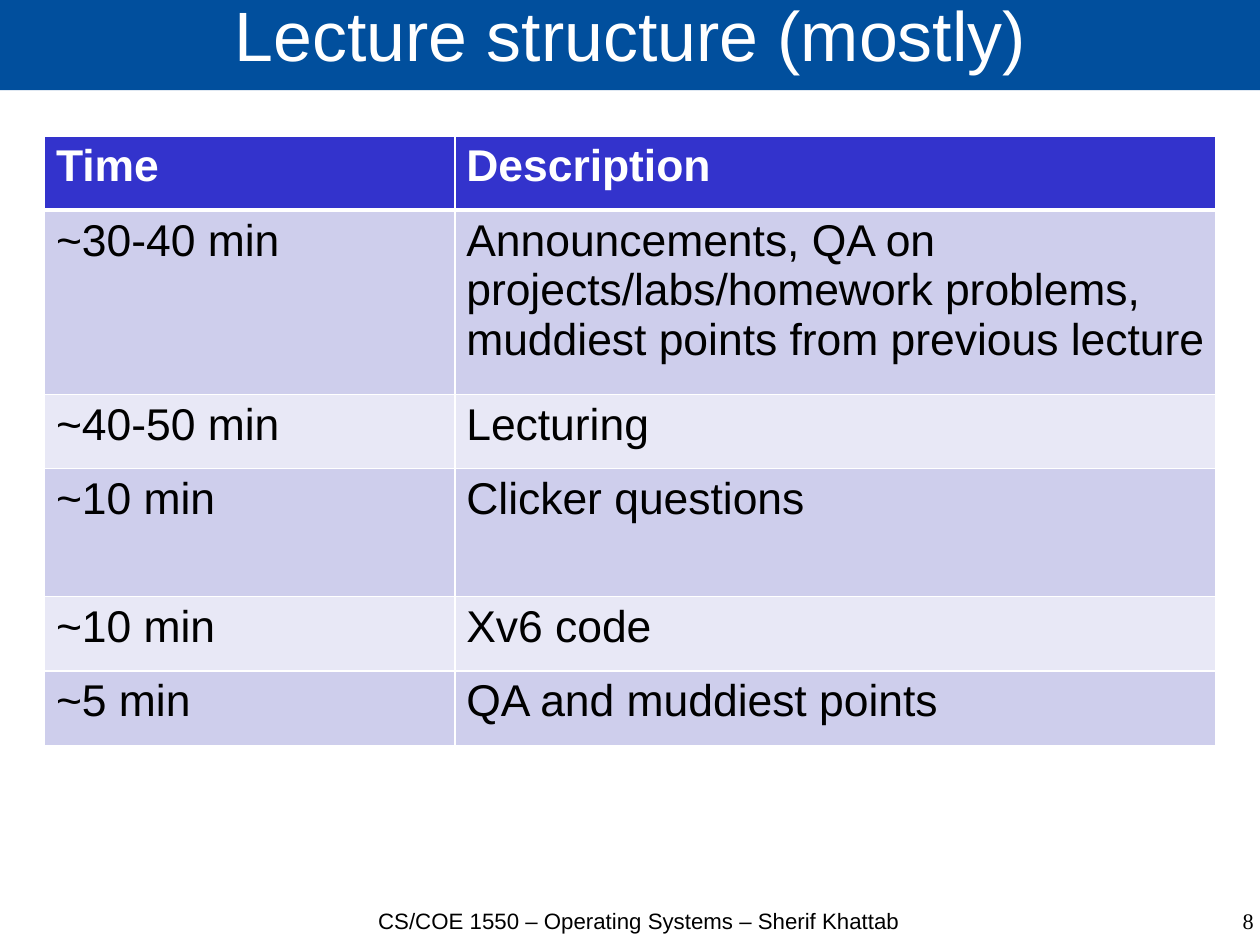
import pptx
import pptx.util
import pptx.dml.color
import pptx.enum.text
import pptx.oxml
import pptx.oxml.ns

WIDTH, HEIGHT = pptx.util.Cm(28), pptx.util.Cm(21)
COLORS = {
    "banner": "014F9D", "header": "3333CC", "odd": "CECEEC",
    "even": "E8E8F6", "white": "FFFFFF", "black": "000000",
}
ALIGN = pptx.enum.text.PP_ALIGN
ANCHOR = pptx.enum.text.MSO_ANCHOR
COLUMNS = (3.59, 6.66)
SCHEDULE = (
    (0.65, "Time", "Description"),
    (1.61, "~30-40 min", "Announcements, QA on projects/labs/homework problems, "
                         "muddiest points from previous lecture"),
    (0.65, "~40-50 min", "Lecturing"),
    (1.12, "~10 min", "Clicker questions"),
    (0.65, "~10 min", "Xv6 code"),
    (0.65, "~5 min", "QA and muddiest points"),
)


def paint(target, color):
    """Fill a shape or a cell with a named colour."""
    target.fill.solid()
    target.fill.fore_color.rgb = pptx.dml.color.RGBColor.from_string(COLORS[color])


def write(frame, text, size=14, color="black", font="Arial", bold=False,
          align=ALIGN.LEFT, spacing=1.0):
    """Put one formatted paragraph in a text frame."""
    frame.word_wrap = True
    paragraph = frame.paragraphs[0]
    paragraph.alignment = align
    paragraph.line_spacing = spacing
    paragraph.space_before = paragraph.space_after = pptx.util.Pt(0)
    run = paragraph.add_run()
    run.text = text
    run.font.size = pptx.util.Pt(size)
    run.font.name = font
    run.font.bold = bold
    run.font.color.rgb = pptx.dml.color.RGBColor.from_string(COLORS[color])


def clear_margins(frame):
    """Remove the insets of a text frame."""
    frame.margin_left = frame.margin_right = 0
    frame.margin_top = frame.margin_bottom = 0


def add_title(slide, text):
    """Format the title placeholder as a full-width banner."""
    title = slide.shapes.title
    title.left, title.top = 0, pptx.util.Inches(-0.02)
    title.width, title.height = pptx.util.Inches(11.04), pptx.util.Inches(0.81)
    paint(title, "banner")
    clear_margins(title.text_frame)
    title.text_frame.auto_size = pptx.enum.text.MSO_AUTO_SIZE.NONE
    title.text_frame.vertical_anchor = ANCHOR.MIDDLE
    write(title.text_frame, text, size=44, color="white", align=ALIGN.CENTER,
          spacing=0.69)


def add_footer(slide, left, width, text, **style):
    """Add a text box on the footer line."""
    footer = slide.shapes.add_textbox(
        pptx.util.Inches(left), pptx.util.Inches(8.01),
        pptx.util.Inches(width), pptx.util.Inches(0.55))
    clear_margins(footer.text_frame)
    write(footer.text_frame, text, spacing=0.65, **style)


def add_borders(cell, bottom, top):
    """Draw white cell borders, with given widths above and below."""
    properties = cell._tc.get_or_add_tcPr()
    sides = (("L", 1), ("R", 1), ("T", top), ("B", bottom))
    for position, (side, points) in enumerate(sides):
        properties.insert(position, pptx.oxml.parse_xml(
            f'<a:ln{side} {pptx.oxml.ns.nsdecls("a")} w="{pptx.util.Pt(points)}">'
            f'<a:solidFill><a:srgbClr val="{COLORS["white"]}"/></a:solidFill>'
            f'</a:ln{side}>'))


def add_schedule(slide):
    """Add the table of lecture parts."""
    heights = [height for height, *_ in SCHEDULE]
    schedule = slide.shapes.add_table(
        len(SCHEDULE), len(COLUMNS), pptx.util.Inches(0.39), pptx.util.Inches(1.19),
        pptx.util.Inches(sum(COLUMNS)), pptx.util.Inches(sum(heights))).table
    for column, width in zip(schedule.columns, COLUMNS):
        column.width = pptx.util.Inches(width)
    for index, (height, *texts) in enumerate(SCHEDULE):
        schedule.rows[index].height = pptx.util.Inches(height)
        heading = index == 0
        band = "header" if heading else ("even", "odd")[index % 2]
        for cell, text in zip(schedule.rows[index].cells, texts):
            paint(cell, band)
            add_borders(cell, bottom=3 if heading else 1, top=3 if index == 1 else 1)
            write(cell.text_frame, text, size=28, bold=heading,
                  color="white" if heading else "black")


def main():
    """Build the slide and save it."""
    deck = pptx.Presentation()
    deck.slide_width, deck.slide_height = WIDTH, HEIGHT
    slide = deck.slides.add_slide(deck.slide_layouts[5])
    add_title(slide, "Lecture structure (mostly)")
    add_footer(slide, 3.07, 5.04, "CS/COE 1550 – Operating Systems – Sherif Khattab",
               align=ALIGN.CENTER)
    add_footer(slide, 8.44, 2.53, "8", font="Times New Roman", align=ALIGN.RIGHT)
    add_schedule(slide)
    deck.save("out.pptx")


if __name__ == "__main__":
    main()
